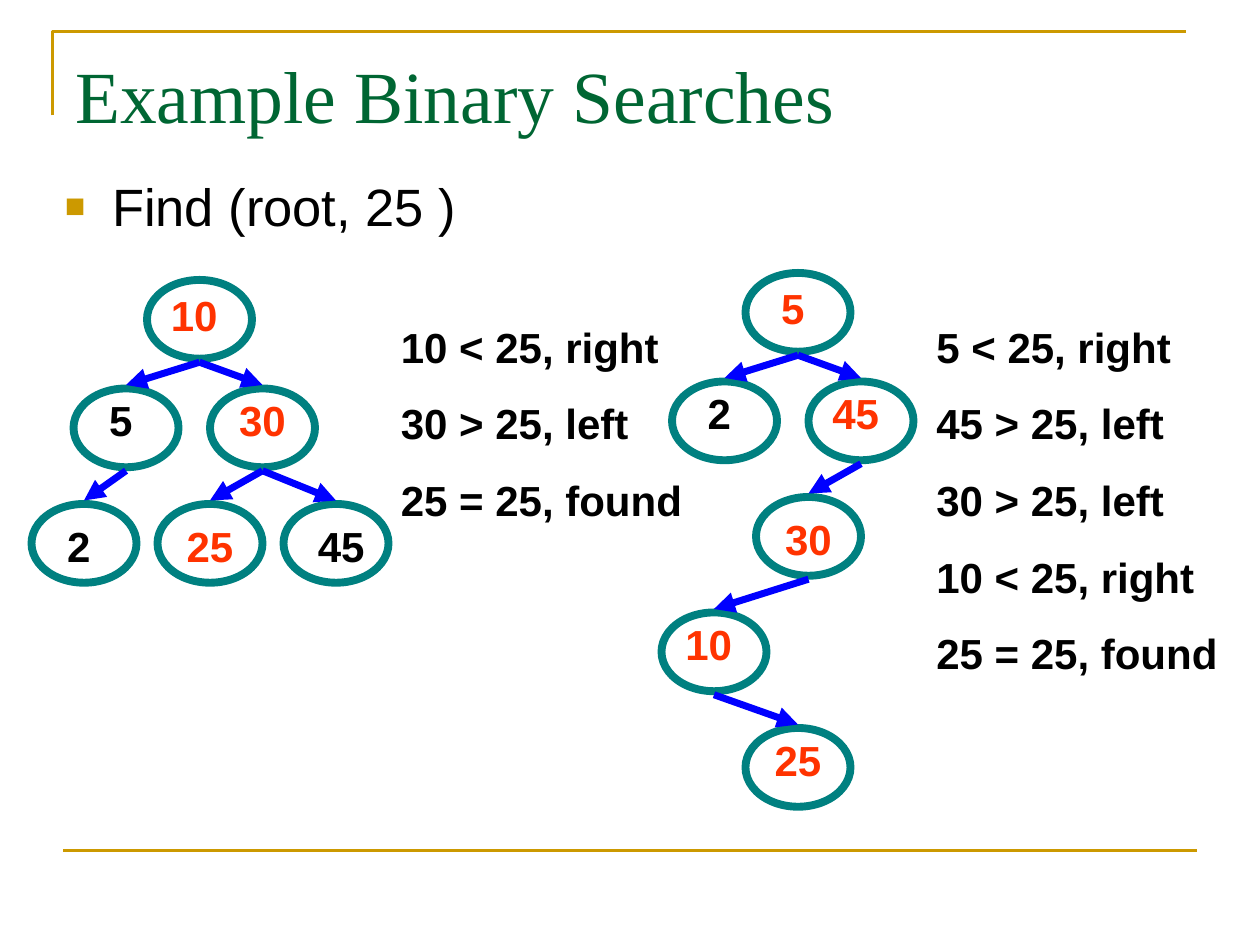
from lxml import etree
from pptx import Presentation
from pptx.dml.color import RGBColor
from pptx.enum.shapes import MSO_CONNECTOR, MSO_SHAPE
from pptx.enum.text import PP_ALIGN
from pptx.oxml.ns import qn
from pptx.util import Pt

GOLD = RGBColor(0xCC, 0x99, 0x00)
GREEN = RGBColor(0x00, 0x66, 0x33)
TEAL = RGBColor(0x00, 0x80, 0x80)
BLUE = RGBColor(0x00, 0x00, 0xFF)
RED = RGBColor(0xFF, 0x33, 0x00)
BLACK = RGBColor(0x00, 0x00, 0x00)

deck = Presentation()
deck.slide_width, deck.slide_height = Pt(720), Pt(540)
slide = deck.slides.add_slide(deck.slide_layouts[6])
shapes = slide.shapes


def write(text, x, y, w, h, size=24, font="Arial", color=BLACK, bold=True,
          align=PP_ALIGN.LEFT, before=0, inset=3.6):
    box = shapes.add_textbox(Pt(x), Pt(y), Pt(w), Pt(h))
    frame = box.text_frame
    frame.word_wrap = True
    frame.margin_top = Pt(inset)
    frame.text = text
    for para in frame.paragraphs:
        para.alignment = align
        para.space_before = Pt(before)
        para.line_spacing = Pt(size * 1.2)
        face = para.runs[0].font
        face.size, face.name, face.bold = Pt(size), font, bold
        face.color.rgb = color
    return frame


def connect(x1, y1, x2, y2, color, width):
    line = shapes.add_connector(MSO_CONNECTOR.STRAIGHT, Pt(x1), Pt(y1), Pt(x2), Pt(y2))
    line.line.color.rgb = color
    line.line.width = Pt(width)
    etree.SubElement(line.element.spPr, qn("a:effectLst"))
    return line


path = shapes.build_freeform(Pt(30), Pt(66))
path.add_line_segments([(Pt(30), Pt(18)), (Pt(678), Pt(18))], close=False)
rule = path.convert_to_shape()
rule.shadow.inherit = False
rule.fill.background()
rule.line.color.rgb = GOLD
rule.line.width = Pt(1.5)
connect(36, 486, 684, 486, GOLD, 1.5)

write("Example Binary Searches", 36, 21.6, 648, 90, size=42,
      font="Times New Roman", color=GREEN, bold=False, inset=7)
body = write("Find (root, 25 )", 30, 96, 648, 356, size=30, bold=False, before=7.5)
props = body.paragraphs[0]._p.get_or_add_pPr()
props.set("marL", str(Pt(27)))
props.set("indent", str(Pt(-27)))
tint = etree.SubElement(props, qn("a:buClr"))
etree.SubElement(tint, qn("a:srgbClr")).set("val", str(GOLD))
etree.SubElement(props, qn("a:buSzPct")).set("val", "65000")
etree.SubElement(props, qn("a:buFont")).set("typeface", "Arial")
etree.SubElement(props, qn("a:buChar")).set("char", "■")

WIDE, HIGH, GAP = 60, 45, 2
left = [
    ("10", 84, 160, RED, 90, 162, 42, None),
    ("5", 42, 222, BLACK, 54, 222, 30, 0),
    ("30", 120, 222, RED, 126, 222, 48, 0),
    ("2", 18, 288, BLACK, 30, 294, 30, 1),
    ("25", 90, 288, RED, 96, 294, 48, 2),
    ("45", 162, 288, BLACK, 174, 294, 42, 2),
]
right = [
    ("5", 426, 156, RED, 438, 158, 30, None),
    ("2", 384, 218, BLACK, 396, 218, 30, 0),
    ("45", 462, 218, RED, 468, 218, 42, 0),
    ("30", 432, 284, RED, 438, 290, 48, 2),
    ("10", 378, 350, RED, 384, 350, 42, 3),
    ("25", 426, 416, RED, 432, 416, 48, 4),
]
for tree in (left, right):
    for key, x, y, color, tx, ty, tw, root in tree:
        node = shapes.add_shape(MSO_SHAPE.OVAL, Pt(x), Pt(y), Pt(WIDE), Pt(HIGH))
        node.shadow.inherit = False
        node.fill.background()
        node.line.color.rgb = TEAL
        node.line.width = Pt(4.5)
        if root is not None:
            px, py = tree[root][1:3]
            edge = connect(px + WIDE / 2, py + HIGH + GAP, x + WIDE / 2, y - GAP, BLUE, 4)
            tip = etree.SubElement(edge.line._get_or_add_ln(), qn("a:tailEnd"))
            tip.set("type", "triangle")
        write(key, tx, ty, tw, 36, color=color, align=PP_ALIGN.CENTER)

write("10 < 25, right\n30 > 25, left\n25 = 25, found", 222, 180, 180, 124, before=15)
write("5 < 25, right\n45 > 25, left\n30 > 25, left\n10 < 25, right\n25 = 25, found",
      528, 180, 180, 212, before=15)

deck.save("out.pptx")
